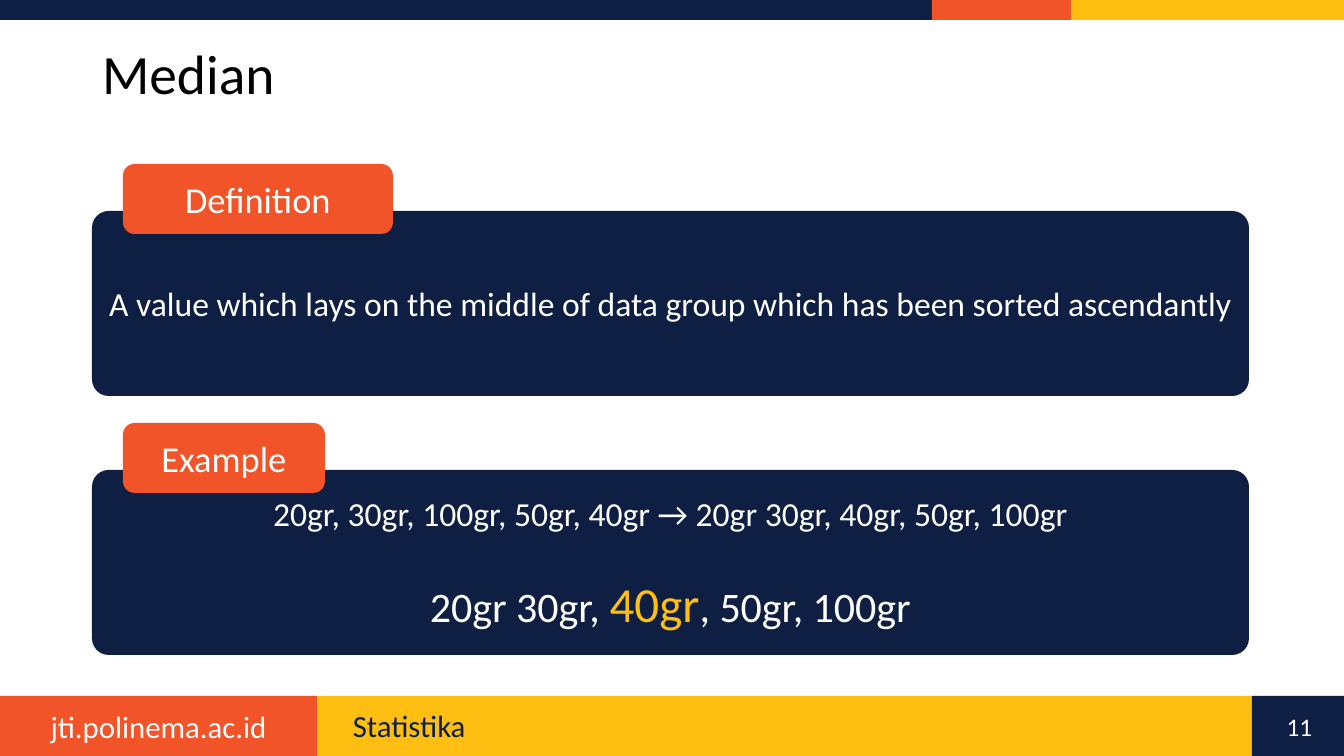
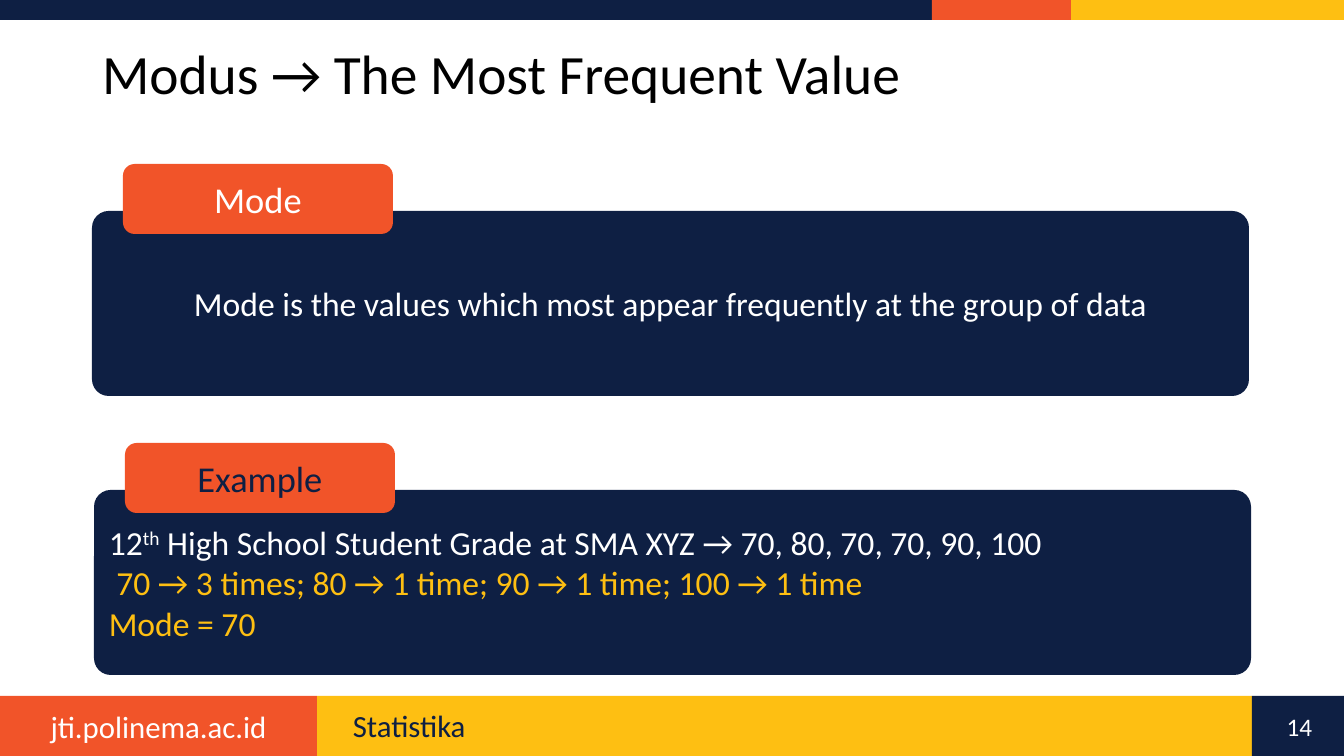
from pptx import Presentation
from pptx.dml.color import RGBColor
from pptx.enum.shapes import MSO_SHAPE
from pptx.enum.text import MSO_ANCHOR, MSO_AUTO_SIZE, PP_ALIGN
from pptx.util import Pt

PX = 12192000 / 1344
FONT = "Calibri"
COLORS = {
    "navy": "0E1F43",
    "orange": "F15429",
    "yellow": "FEBF12",
    "white": "FFFFFF",
    "black": "000000",
}


def write_text(shape, paragraphs, align=PP_ALIGN.CENTER, anchor=MSO_ANCHOR.MIDDLE, spacing=None):
    frame = shape.text_frame
    frame_format = {"word_wrap": True, "auto_size": MSO_AUTO_SIZE.NONE, "vertical_anchor": anchor}
    for name, value in frame_format.items():
        setattr(frame, name, value)
    for index, (space_before, runs) in enumerate(paragraphs):
        paragraph = frame.add_paragraph() if index else frame.paragraphs[0]
        paragraph_format = {
            "alignment": align,
            "line_spacing": spacing,
            "space_before": Pt(space_before),
        }
        for name, value in paragraph_format.items():
            setattr(paragraph, name, value)
        for text, size, color, *baseline in runs:
            run = paragraph.add_run()
            run.text = text
            for name, value in {"name": FONT, "size": Pt(size)}.items():
                setattr(run.font, name, value)
            run.font.color.rgb = RGBColor.from_string(COLORS[color])
            for value in baseline:
                run._r.get_or_add_rPr().set("baseline", str(value))


def add_box(slide, box, kind=None, fill=None):
    lengths = [round(length * PX) for length in box]
    if kind is None:
        return slide.shapes.add_textbox(*lengths)
    shape = slide.shapes.add_shape(kind, *lengths)
    shape.shadow.inherit = False
    shape.fill.solid()
    shape.fill.fore_color.rgb = RGBColor.from_string(COLORS[fill])
    shape.line.fill.background()
    return shape


presentation = Presentation()
presentation.slide_width = round(1344 * PX)
presentation.slide_height = round(756 * PX)
layout = presentation.slide_layouts[5]

bands = [
    (0, 20, [(0, 932, "navy"), (932, 1071, "orange"), (1071, 1344, "yellow")]),
    (696, 60, [(0, 317, "orange"), (317, 1252, "yellow"), (1252, 1344, "navy")]),
]
footers = [
    ((0, 703, 317, 47), "jti.polinema.ac.id", "white", PP_ALIGN.CENTER, None),
    ((343, 706, 881, 40), "Statistika", "navy", PP_ALIGN.LEFT, 0.9),
]

slides = [
    {
        "title": "Median",
        "number": "11",
        "panels": [
            {
                "at": (92, 211),
                "label": ("Definition", 270, "white"),
                "align": PP_ALIGN.CENTER,
                "text": [
                    (0, [("A value which lays on the middle of data group which has been sorted ascendantly", 24, "white")]),
                ],
            },
            {
                "at": (92, 470),
                "label": ("Example", 202, "white"),
                "align": PP_ALIGN.CENTER,
                "text": [
                    (0, [("20gr, 30gr, 100gr, 50gr, 40gr → 20gr 30gr, 40gr, 50gr, 100gr", 24, "white")]),
                    (29, [("20gr 30gr, ", 30, "white"), ("40gr", 35, "yellow"), (", 50gr, 100gr", 30, "white")]),
                ],
            },
        ],
    },
    {
        "title": "Modus → The Most Frequent Value",
        "number": "14",
        "panels": [
            {
                "at": (92, 211),
                "label": ("Mode", 270, "white"),
                "align": PP_ALIGN.CENTER,
                "text": [
                    (0, [("Mode is the values which most appear frequently at the group of data", 24, "white")]),
                ],
            },
            {
                "at": (94, 490),
                "label": ("Example", 270, "navy"),
                "align": PP_ALIGN.LEFT,
                "text": [
                    (0, [
                        ("12", 24, "white"),
                        ("th", 24, "white", 30000),
                        (" High School Student Grade at SMA XYZ → 70, 80, 70, 70, 90, 100", 24, "white"),
                    ]),
                    (0, [(" 70 → 3 times; 80 → 1 time; 90 → 1 time; 100 → 1 time", 24, "yellow")]),
                    (0, [("Mode = 70", 24, "yellow")]),
                ],
            },
        ],
    },
]

for slide_index, content in enumerate(slides):
    slide = presentation.slides.add_slide(layout)
    if slide_index == 0:
        shared = []
        for top, height, segments in bands:
            for left, right, color in segments:
                shared.append(add_box(slide, (left, top, right - left, height), MSO_SHAPE.RECTANGLE, color))
        for box, text, color, align, spacing in footers:
            footer = add_box(slide, box)
            write_text(footer, [(0, [(text, 22, color)])], align, MSO_ANCHOR.TOP, spacing)
            shared.append(footer)
        for shape in shared:
            layout.shapes.element.append(shape.element)

    title = slide.shapes.title
    title_position = {"left": 92, "top": 40, "width": 1032, "height": 74}
    for name, value in title_position.items():
        setattr(title, name, round(value * PX))
    write_text(title, [(0, [(content["title"], 39.6, "black")])], PP_ALIGN.LEFT, spacing=0.9)

    number = add_box(slide, (1269, 706, 61, 40))
    write_text(number, [(0, [(content["number"], 18, "white")])], anchor=MSO_ANCHOR.TOP)

    for panel in content["panels"]:
        left, top = panel["at"]
        body = add_box(slide, (left, top, 1157, 185), MSO_SHAPE.ROUNDED_RECTANGLE, "navy")
        body.adjustments[0] = 0.09
        write_text(body, panel["text"], panel["align"])
        text, width, color = panel["label"]
        label = add_box(slide, (left + 31, top - 47, width, 70), MSO_SHAPE.ROUNDED_RECTANGLE, "orange")
        write_text(label, [(0, [(text, 26, color)])])

presentation.save("out.pptx")
